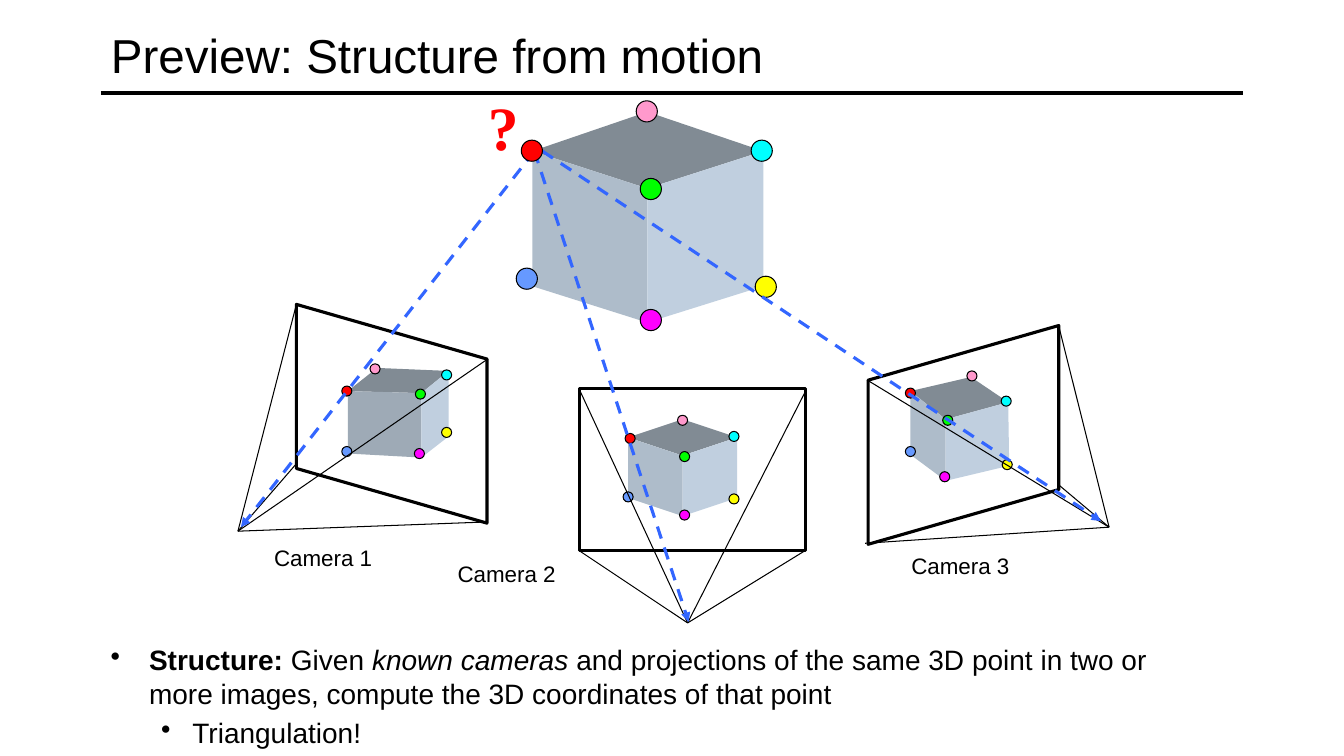
from lxml import etree
from pptx import Presentation
from pptx.dml.color import RGBColor
from pptx.enum.dml import MSO_LINE
from pptx.enum.shapes import MSO_CONNECTOR, MSO_SHAPE
from pptx.enum.text import MSO_ANCHOR, PP_ALIGN
from pptx.oxml.ns import qn
from pptx.util import Inches, Pt

STRAIGHT, DASH = MSO_CONNECTOR.STRAIGHT, MSO_LINE.DASH
OVAL, RECTANGLE, PARALLELOGRAM = MSO_SHAPE.OVAL, MSO_SHAPE.RECTANGLE, MSO_SHAPE.PARALLELOGRAM
LEFT, TOP, MIDDLE = PP_ALIGN.LEFT, MSO_ANCHOR.TOP, MSO_ANCHOR.MIDDLE

COLORS = {
    "ink": "000000", "question": "FF0000", "sight": "3366FF",
    "top": "818B94", "left": "AEBCCA", "right": "C0CFDF", "shaded": "9EAAB6",
    "red": "FF0101", "green": "00FF00", "blue": "6699FF", "magenta": "FF00FF",
    "yellow": "FFFF00", "cyan": "00FFFF", "pink": "FF99CC",
}

# Content: corners and dots follow the order of CORNERS, all in inches
TITLE = "Preview: Structure from motion"
BULLETS = [
    (0.38, 0.38, [("Structure: ", "bold"), ("Given ", ""), ("known cameras", "italic"),
                  (" and projections of the same 3D point in two or more images, "
                   "compute the 3D coordinates of that point", "")]),
    (0.81, 0.31, [("Triangulation!", "")]),
]
CORNERS = ["green", "blue", "magenta", "yellow", "cyan", "pink", "red"]
FACES = {
    "top": ["red", "pink", "cyan", "green"],
    "left": ["red", "green", "magenta", "blue"],
    "right": ["green", "cyan", "yellow", "magenta"],
}
SCENE = {
    "corners": [(6.42, 1.87), (5.28, 2.84), (6.42, 3.2), (7.57, 2.84),
                (7.57, 1.5), (6.42, 1.11), (5.28, 1.5)],
    "dots": [(6.35, 1.77), (5.12, 2.66), (6.35, 3.07), (7.49, 2.74),
             (7.45, 1.39), (6.31, 1), (5.17, 1.39)],
}
CAMERAS = [
    {"label": ("Camera 1", 2.62, 5.35), "center": (2.36, 5.27),
     "frame": (PARALLELOGRAM, 2.8, 3.16, 2.17, 1.89), "rotation": 90, "flip": False,
     "back_rays": [(2.94, 3.02), (2.94, 4.6), (4.78, 5.18)], "front_ray": (4.84, 3.56),
     "sight": [(5.3, 1.5), (2.39, 5.23)], "left_face": "shaded",
     "corners": [(4.18, 3.9), (3.45, 4.5), (4.18, 4.54), (4.45, 4.33),
                 (4.45, 3.68), (3.74, 3.65), (3.45, 3.88)],
     "dots": [(4.12, 3.86), (3.39, 4.43), (4.11, 4.45), (4.38, 4.24),
              (4.38, 3.67), (3.67, 3.61), (3.39, 3.83)]},
    {"label": ("Camera 2", 4.44, 5.51), "center": (6.82, 6.18),
     "frame": (RECTANGLE, 5.75, 3.85, 2.24, 1.61), "rotation": 0, "flip": False,
     "back_rays": [(7.99, 3.88), (5.74, 5.46), (7.99, 5.46)], "front_ray": (5.74, 3.85),
     "sight": [(5.3, 1.5), (6.83, 6.17)], "left_face": "left",
     "corners": [(6.77, 4.52), (6.23, 4.94), (6.77, 5.12), (7.31, 4.94),
                 (7.31, 4.34), (6.77, 4.16), (6.23, 4.34)],
     "dots": [(6.74, 4.48), (6.18, 4.88), (6.74, 5.06), (7.23, 4.9),
              (7.23, 4.28), (6.72, 4.12), (6.2, 4.3)]},
    {"label": ("Camera 3", 8.94, 5.43), "center": (11, 5.23),
     "frame": (PARALLELOGRAM, 8.47, 3.37, 2.17, 1.89), "rotation": 270, "flip": True,
     "back_rays": [(8.58, 5.39), (10.5, 4.81), (10.5, 3.23)], "front_ray": (8.6, 3.77),
     "sight": [(5.38, 1.5), (10.92, 5.17)], "left_face": "left",
     "corners": [(9.38, 4.16), (9.03, 4.51), (9.38, 4.77), (10.01, 4.62),
                 (10, 3.99), (9.63, 3.74), (9.03, 3.88)],
     "dots": [(9.35, 4.12), (8.98, 4.43), (9.32, 4.68), (9.94, 4.56),
              (9.93, 3.93), (9.59, 3.68), (8.98, 3.85)]},
]

presentation = Presentation()
presentation.slide_width, presentation.slide_height = Inches(13.33), Inches(7.5)
slide = presentation.slides.add_slide(presentation.slide_layouts[5])
shapes = slide.shapes


def rgb(name):
    return RGBColor.from_string(COLORS[name])


def add_run(paragraph, text, size=16, color="ink", font="Arial", bold=False, italic=False):
    run = paragraph.add_run()
    run.text = text
    run.font.size, run.font.name = Pt(size), font
    run.font.bold, run.font.italic = bold, italic
    run.font.color.rgb = rgb(color)


def add_box(left, top, width, height, wrap=False):
    frame = shapes.add_textbox(Inches(left), Inches(top), Inches(width), Inches(height)).text_frame
    frame.word_wrap, frame.vertical_anchor = wrap, TOP
    return frame


def add_line(start, end, width=0.75, color="ink", arrow=False):
    line = shapes.add_connector(STRAIGHT, *[Inches(value) for value in (*start, *end)])
    line.line.width, line.line.color.rgb = Pt(width), rgb(color)
    if arrow:
        line.line.dash_style = DASH
        etree.SubElement(line.line._get_or_add_ln(), qn("a:tailEnd"), type="triangle")
    etree.SubElement(line._element.spPr, qn("a:effectLst"))


def add_preset(kind, left, top, width, height, fill=None, line_width=0.75):
    shape = shapes.add_shape(kind, Inches(left), Inches(top), Inches(width), Inches(height))
    shape.shadow.inherit = False
    if fill:
        shape.fill.solid()
        shape.fill.fore_color.rgb = rgb(fill)
    else:
        shape.fill.background()
    shape.line.width, shape.line.color.rgb = Pt(line_width), rgb("ink")
    return shape


def add_cube(corners, left_face="left"):
    place = dict(zip(CORNERS, corners))
    for face, names in FACES.items():
        points = [(Inches(place[name][0]), Inches(place[name][1])) for name in names]
        builder = shapes.build_freeform(*points[0])
        builder.add_line_segments(points[1:], close=True)
        shape = builder.convert_to_shape()
        shape.shadow.inherit = False
        shape.fill.solid()
        shape.fill.fore_color.rgb = rgb(left_face if face == "left" else face)
        shape.line.fill.background()


def add_dots(names, dots, size):
    for name, (left, top) in zip(names, dots):
        add_preset(OVAL, left, top, size, size, fill=name)


# Title and rule
add_line((1, 0.92), (12.33, 0.92), width=3)
title = shapes.title
title.left, title.top, title.width, title.height = [Inches(v) for v in (1, 0.08, 11.33, 0.92)]
title.text_frame.vertical_anchor = MIDDLE
title.text_frame.paragraphs[0].alignment = LEFT
add_run(title.text_frame.paragraphs[0], TITLE, size=34)

# Scene cube, then image planes with their cubes and rays
add_cube(SCENE["corners"])
for camera in CAMERAS:
    plane = add_preset(*camera["frame"], line_width=2.25)
    plane.rotation = camera["rotation"]
    if plane.adjustments:
        plane.adjustments[0] = 0.287
    if camera["flip"]:
        plane._element.spPr.xfrm.set("flipH", "1")
    add_cube(camera["corners"], camera["left_face"])
    for corner in camera["back_rays"]:
        add_line(corner, camera["center"])
    add_dots(CORNERS, camera["dots"], 0.1)
    add_line(camera["front_ray"], camera["center"])
    label, left, top = camera["label"]
    add_run(add_box(left, top, 1.19, 0.37).paragraphs[0], label)

# Scene points, with the lines of sight under the red one
add_dots(CORNERS[:-1], SCENE["dots"], 0.21)
for camera in CAMERAS:
    add_line(*camera["sight"], width=2.25, color="sight", arrow=True)
add_dots(CORNERS[-1:], SCENE["dots"][-1:], 0.21)
add_run(add_box(4.74, 0.83, 0.51, 0.84).paragraphs[0], "?", size=44, color="question",
        font="Times New Roman", bold=True)

# Bullets
body = add_box(1, 6.33, 11.17, 1, wrap=True)
for index, (margin, hanging, runs) in enumerate(BULLETS):
    paragraph = body.add_paragraph() if index else body.paragraphs[0]
    paragraph.level = index
    properties = paragraph._p.get_or_add_pPr()
    properties.set("marL", str(Inches(margin)))
    properties.set("indent", str(-Inches(hanging)))
    etree.SubElement(properties, qn("a:buChar"), char="•")
    if index:
        paragraph.space_before = Pt(4)
    for text, style in runs:
        add_run(paragraph, text, size=20, bold=style == "bold", italic=style == "italic")

presentation.save("out.pptx")
